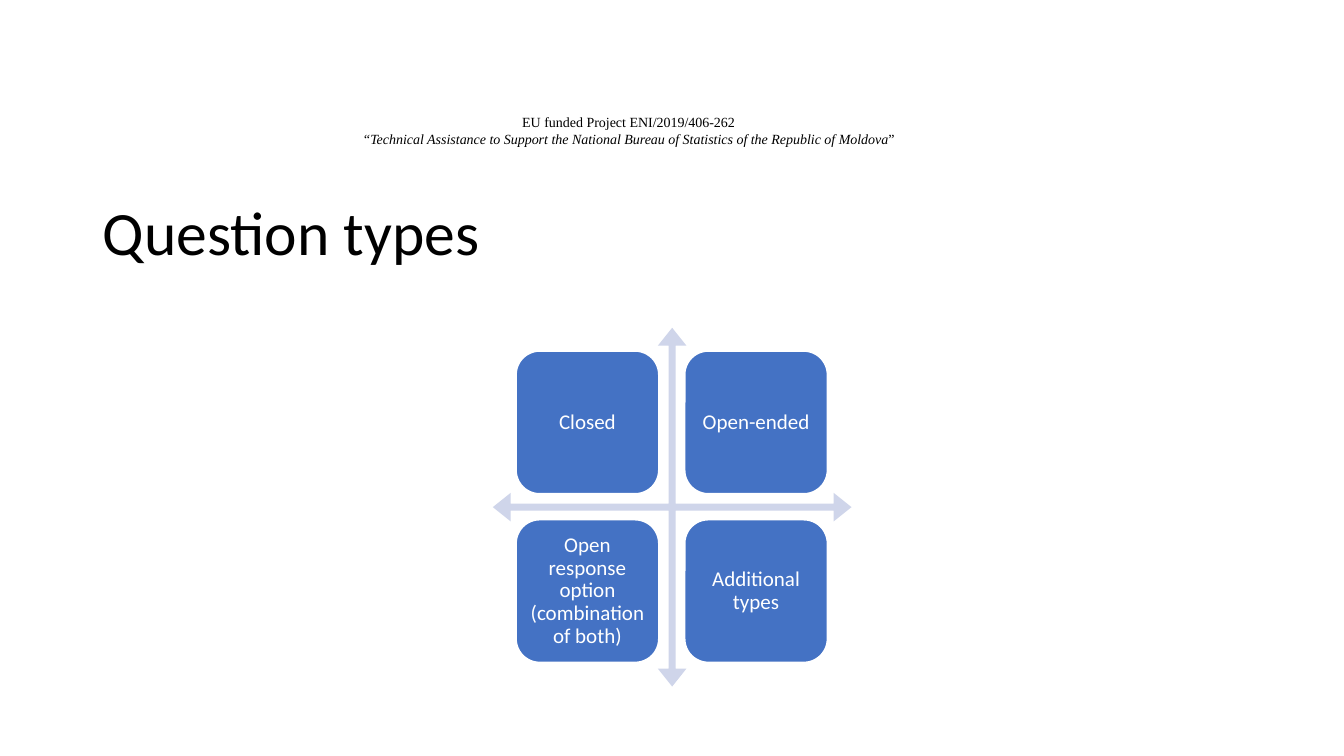
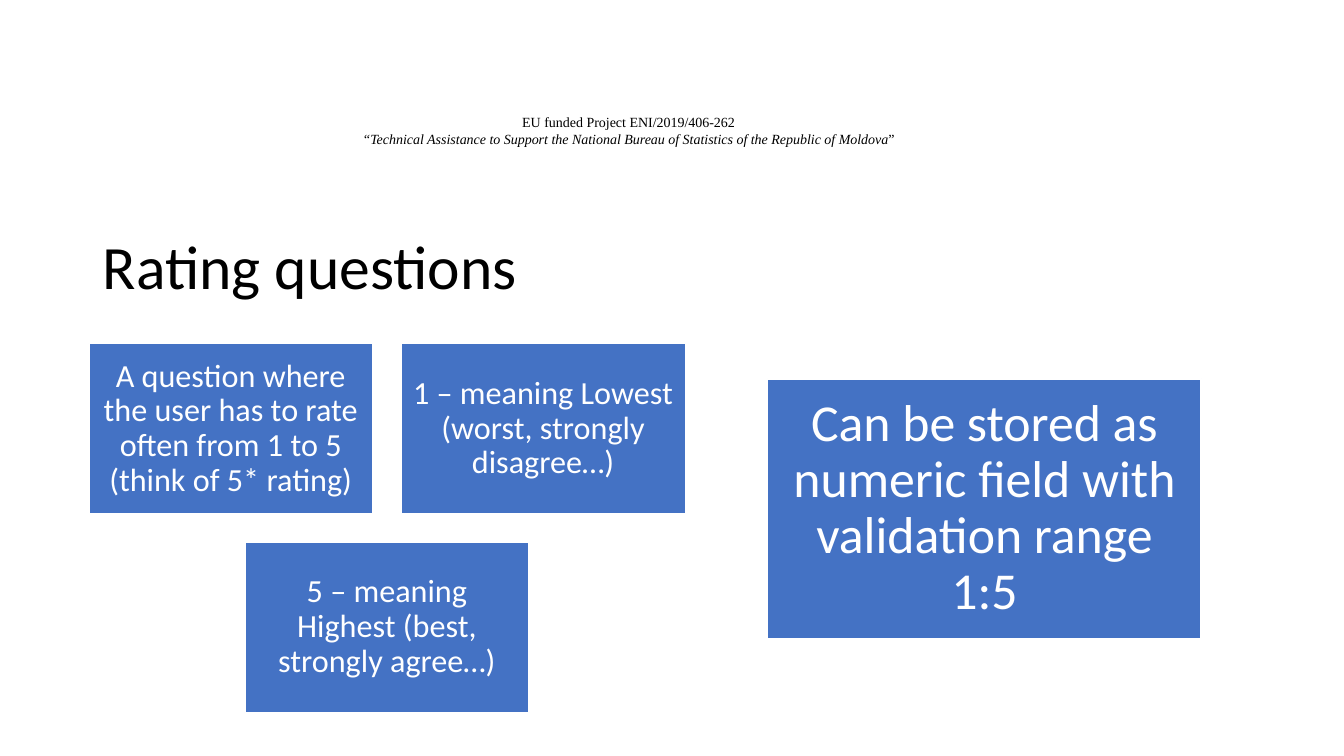
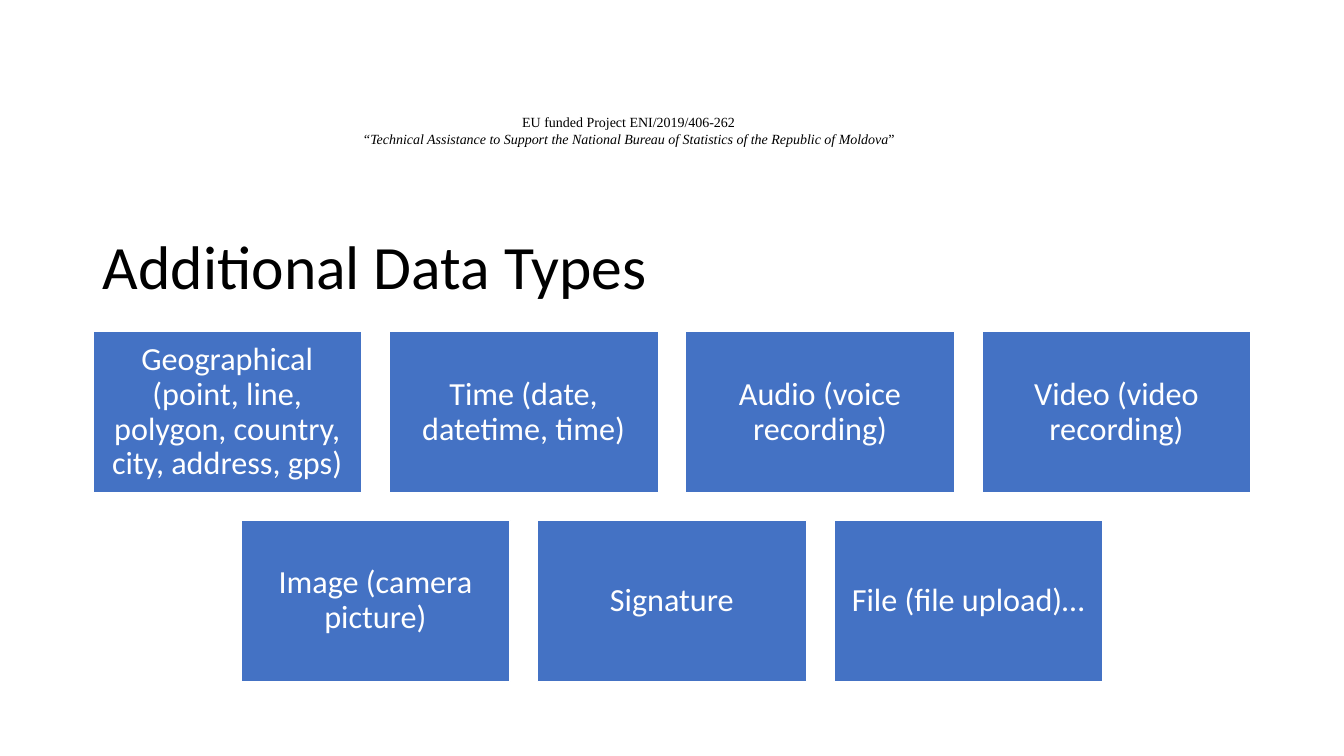
from pptx import Presentation
from pptx import util as u
from pptx.dml import color
from pptx.enum import shapes, text

BLUE, PALE, WHITE, BLACK = "4472C4", "CFD5EA", "FFFFFF", "000000"
BODY_FONT, HEADER_FONT = "Calibri", "Times New Roman"
TITLE_ONLY = 5


def rgb(value):
    return color.RGBColor.from_string(value)


def area(left, top, width, height):
    return u.Cm(left), u.Cm(top), u.Cm(width), u.Cm(height)


class Builder:
    """Holds the deck, its style and the slide being filled."""

    def __init__(self):
        self.deck = Presentation()
        self.deck.slide_width, self.deck.slide_height = u.Cm(33.87), u.Cm(19.05)
        self.slide = None

    def style(self, para, size, font=BODY_FONT, fill=BLACK, align=text.PP_ALIGN.CENTER):
        para.alignment = align
        for span in para.runs:
            span.font.size, span.font.name = u.Pt(size), font
            span.font.color.rgb = rgb(fill)

    def new_slide(self, title, anchor=text.MSO_ANCHOR.BOTTOM):
        self.slide = self.deck.slides.add_slide(self.deck.slide_layouts[TITLE_ONLY])
        box = self.slide.shapes.title
        box.left, box.top, box.width, box.height = area(2.34, 4.09, 29.21, 3.68)
        frame = box.text_frame
        frame.text = title
        frame.auto_size = text.MSO_AUTO_SIZE.NONE
        frame.vertical_anchor = anchor
        para = frame.paragraphs[0]
        para.line_spacing = 0.9
        self.style(para, 44, align=text.PP_ALIGN.LEFT)
        self.header()

    def header(self):
        frame = self.slide.shapes.add_textbox(*area(7.37, 2.74, 16.94, 1.12)).text_frame
        frame.word_wrap = True
        frame.text = "EU funded Project ENI/2019/406-262"
        project = frame.add_paragraph()
        name = project.add_run()
        name.text = ("“Technical Assistance to Support the National Bureau of Statistics "
                     "of the Republic of Moldova")
        name.font.italic = True
        project.add_run().text = "”"
        for para in frame.paragraphs:
            self.style(para, 10, HEADER_FONT)

    def shape(self, kind, place, fill):
        box = self.slide.shapes.add_shape(kind, *area(*place))
        box.shadow.inherit = False
        box.fill.solid()
        box.fill.fore_color.rgb = rgb(fill)
        box.line.fill.background()
        return box

    def cross(self, left, top, side):
        arrows = self.shape(shapes.MSO_SHAPE.QUAD_ARROW, (left, top, side, side), PALE)
        for index, value in enumerate((0.02, 0.04, 0.05)):
            arrows.adjustments[index] = value

    def card(self, label, place, size, inset, kind, border):
        box = self.shape(kind, place, BLUE)
        box.line.color.rgb = rgb(WHITE)
        box.line.width = u.Pt(border)
        frame = box.text_frame
        frame.text = label
        frame.word_wrap = True
        frame.vertical_anchor = text.MSO_ANCHOR.MIDDLE
        frame.margin_left = frame.margin_right = u.Cm(inset)
        frame.margin_top = frame.margin_bottom = u.Cm(inset)
        para = frame.paragraphs[0]
        para.line_spacing = 0.9
        self.style(para, size, fill=WHITE)

    def cards(self, rows, first, gap=0, size=23, inset=0.25,
              kind=shapes.MSO_SHAPE.RECTANGLE, border=1):
        """Lay out rows of equal cards from the first one, centring shorter rows."""
        left, top, width, height = first
        longest = max(len(row) for row in rows)
        for line, row in enumerate(rows):
            indent = (longest - len(row)) * (width + gap) / 2
            for column, label in enumerate(row):
                place = (left + indent + column * (width + gap),
                         top + line * (height + gap), width, height)
                self.card(label, place, size, inset, kind, border)


def main():
    builder = Builder()

    builder.new_slide("Question types", text.MSO_ANCHOR.MIDDLE)
    builder.cross(12.42, 8.26, 9.04)
    builder.cards([["Closed", "Open-ended"],
                   ["Open response option (combination of both)", "Additional types"]],
                  (13, 8.84, 3.61, 3.61), gap=0.64, size=15, inset=0.15,
                  kind=shapes.MSO_SHAPE.ROUNDED_RECTANGLE, border=1.5)

    builder.new_slide("Rating questions")
    builder.cards([["A question where the user has to rate often from 1 to 5 (think of 5* rating)",
                    "1 – meaning Lowest (worst, strongly disagree…)"],
                   ["5 – meaning Highest (best, strongly agree…)"]],
                  (2.24, 8.66, 7.16, 4.29), gap=0.71)
    builder.cards([["Can be stored as numeric field with validation range 1:5"]],
                  (19.35, 9.55, 10.92, 6.55), size=37, inset=0.38)

    builder.new_slide("Additional Data Types")
    builder.cards([["Geographical (point, line, polygon, country, city, address, gps)",
                    "Time (date, datetime, time)", "Audio (voice recording)",
                    "Video (video recording)"],
                   ["Image (camera picture)", "Signature", "File (file upload)…"]],
                  (2.34, 8.36, 6.78, 4.06), gap=0.69)

    builder.deck.save("out.pptx")


if __name__ == "__main__":
    main()
